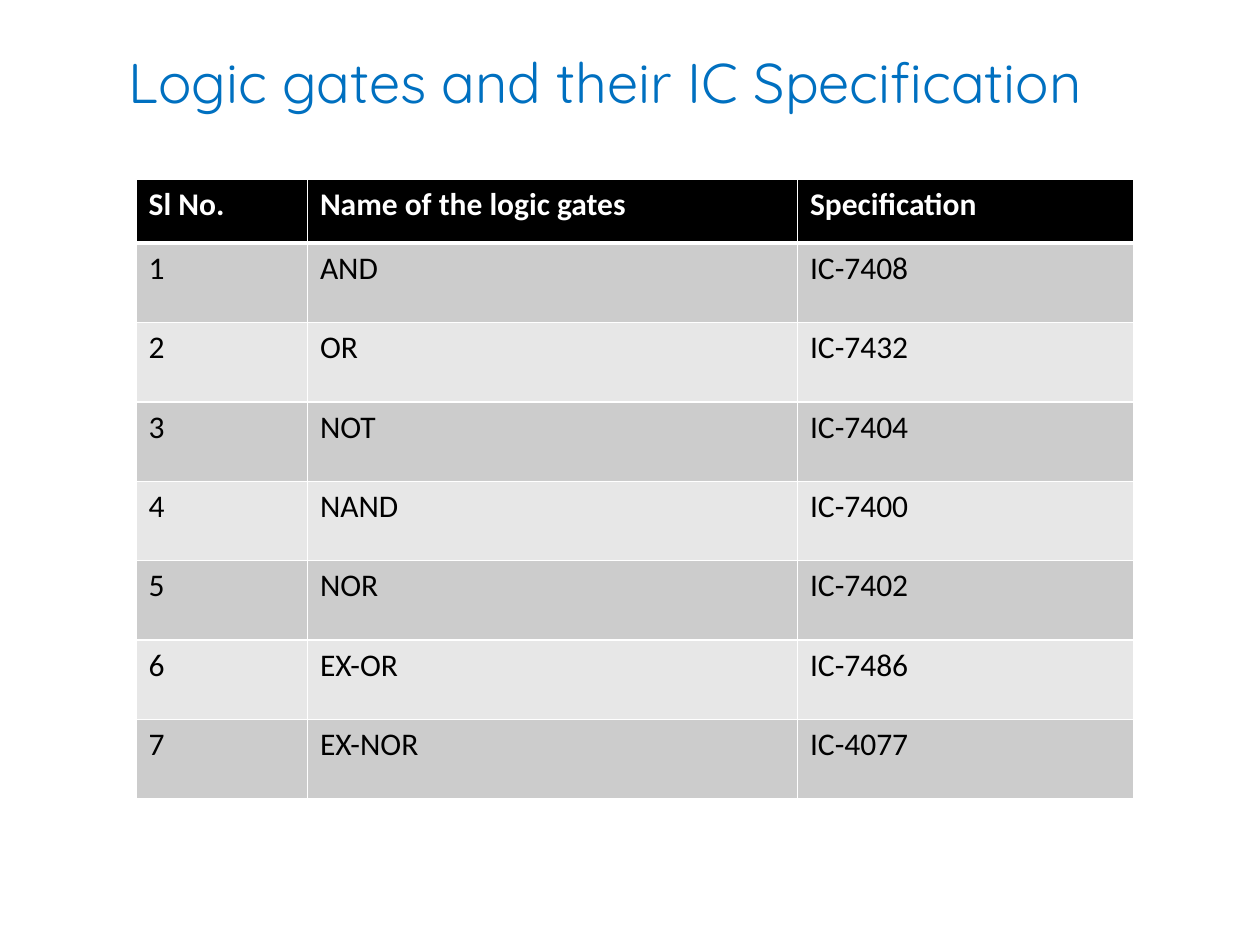
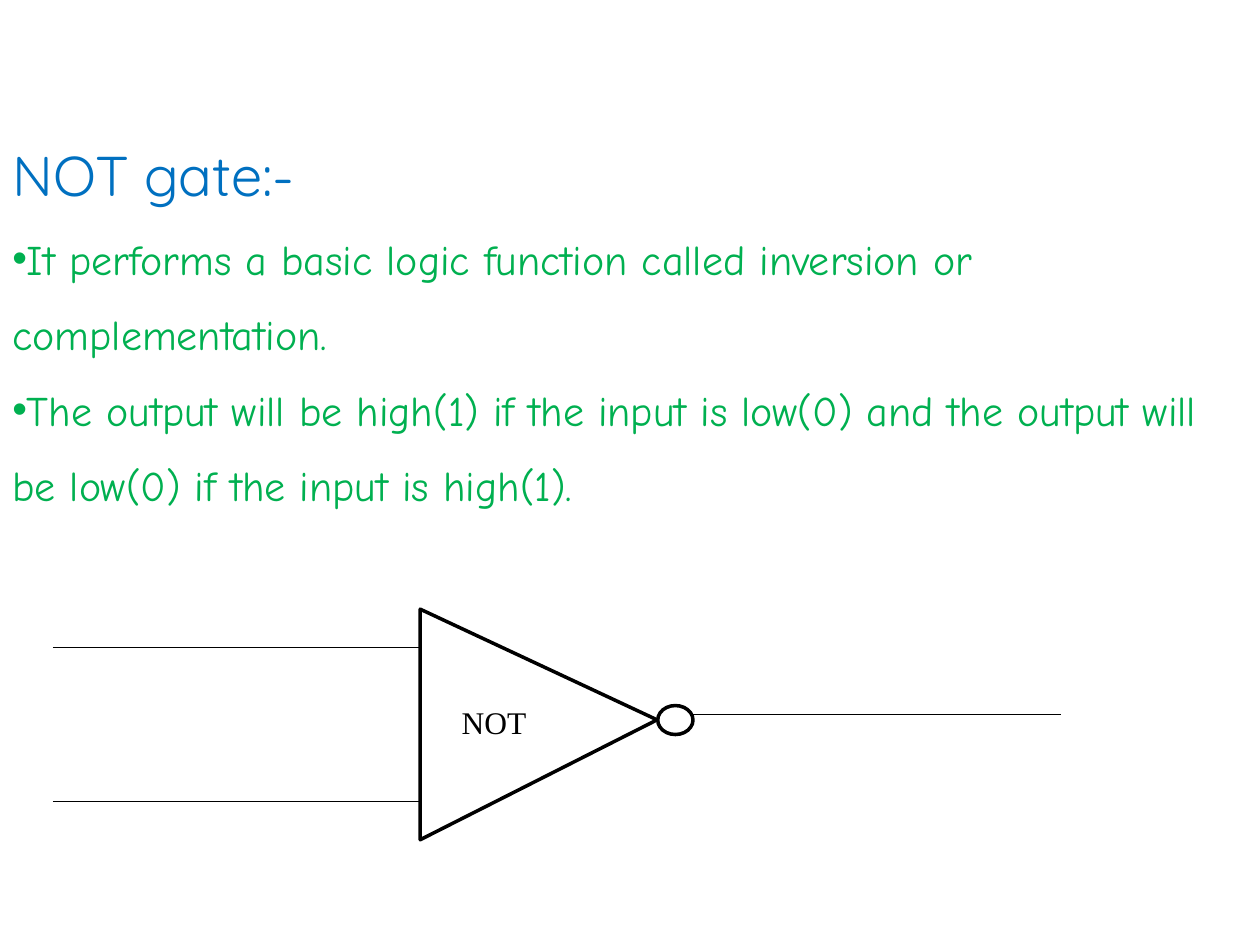
from pptx import Presentation
from pptx.dml.color import RGBColor
from pptx.enum.shapes import MSO_CONNECTOR, MSO_SHAPE
from pptx.enum.text import MSO_ANCHOR, MSO_AUTO_SIZE, PP_ALIGN
from pptx.oxml.ns import qn
from pptx.util import Inches, Pt
from lxml.etree import SubElement

COLORS = {
    "title": "0070C0",
    "body": "00B050",
    "ink": "000000",
    "white": "FFFFFF",
    "odd": "CCCCCC",
    "even": "E7E7E7",
}
TITLE = dict(size=32, font="Quicksand", color="title")
BODY = dict(size=24, font="Comic Neue", color="body", space=1.5, bullet="•")

GATES = [
    ("AND", "IC-7408"),
    ("OR", "IC-7432"),
    ("NOT", "IC-7404"),
    ("NAND", "IC-7400"),
    ("NOR", "IC-7402"),
    ("EX-OR", "IC-7486"),
    ("EX-NOR", "IC-4077"),
]
FACTS = [
    "It performs a basic logic function called inversion or complementation.",
    "The output will be high(1) if the input is low(0) and the output will "
    "be low(0) if the input is high(1).",
]


def rgb(name):
    return RGBColor.from_string(COLORS[name])


def write(frame, text, size=18, font="Calibri", color="ink", bold=False,
          align=PP_ALIGN.LEFT, space=None, bullet=None):
    """Fill the first paragraph if it is empty, else add one."""
    para = frame.paragraphs[0]
    if para.runs:
        para = frame.add_paragraph()
    para.alignment = align
    if space:
        para.line_spacing = space
    if bullet:
        props = para._p.get_or_add_pPr()
        SubElement(props, qn("a:buFont"), typeface="Arial")
        SubElement(props, qn("a:buChar"), char=bullet)
    run = para.add_run()
    run.text = text
    run.font.size = Pt(size)
    run.font.name = font
    run.font.bold = bold
    run.font.color.rgb = rgb(color)


def add_box(slide, left, top, width, height):
    box = slide.shapes.add_textbox(*map(Inches, (left, top, width, height)))
    frame = box.text_frame
    frame.word_wrap = True
    frame.auto_size = MSO_AUTO_SIZE.SHAPE_TO_FIT_TEXT
    return frame


def set_edges(cell, **widths):
    """Draw white cell borders; widths are points by side, in schema order."""
    props = cell._tc.get_or_add_tcPr()
    for spot, (side, width) in enumerate(widths.items()):
        edge = props.makeelement(qn(f"a:ln{side}"), {"w": str(Pt(width))})
        fill = SubElement(edge, qn("a:solidFill"))
        SubElement(fill, qn("a:srgbClr"), val=COLORS["white"])
        props.insert(spot, edge)


def add_grid(slide, left, top, cols, head, step):
    rows = [("Sl No.", "Name of the logic gates", "Specification")]
    rows += [(str(num), *gate) for num, gate in enumerate(GATES, 1)]
    high = head + step * len(GATES)
    table = slide.shapes.add_table(
        len(rows), len(cols), *map(Inches, (left, top, sum(cols), high))).table
    for col, width in zip(table.columns, cols):
        col.width = Inches(width)
    for r, row in enumerate(rows):
        table.rows[r].height = Inches(step if r else head)
        shade = ("odd" if r % 2 else "even") if r else "ink"
        for c, text in enumerate(row):
            cell = table.cell(r, c)
            cell.fill.solid()
            cell.fill.fore_color.rgb = rgb(shade)
            set_edges(cell, L=1, R=1, T=3 if r == 1 else 1, B=1 if r else 3)
            write(cell.text_frame, text, bold=r == 0,
                  color="ink" if r else "white")


def add_part(group, kind, left, top, width, height):
    part = group.shapes.add_shape(
        kind, *map(Inches, (left, top, width, height)))
    part.shadow.inherit = False
    part.fill.background()
    part.line.color.rgb = rgb("ink")
    part.line.width = Pt(2)
    return part


def add_wire(group, left, top, width):
    wire = group.shapes.add_connector(
        MSO_CONNECTOR.STRAIGHT,
        *map(Inches, (left, top, left + width, top)))
    wire.line.color.rgb = rgb("ink")
    wire.line.width = Pt(0.75)
    SubElement(wire._element.spPr, qn("a:effectLst"))


def add_gate(slide, left, top):
    """Draw the NOT symbol with its wires from the box's top left corner."""
    group = slide.shapes.add_group_shape()
    body = add_part(group, MSO_SHAPE.ISOSCELES_TRIANGLE,
                    left + 2.94, top, 1.83, 1.88)
    body.rotation = 90
    body.adjustments[0] = 0.48
    frame = body.text_frame
    frame.vertical_anchor = MSO_ANCHOR.MIDDLE
    frame._txBody.bodyPr.set("vert", "vert270")
    write(frame, "NOT", font="Times New Roman", align=PP_ALIGN.RIGHT)
    add_part(group, MSO_SHAPE.OVAL, left + 4.8, top + 0.79, 0.28, 0.23)
    for x, y in ((0, 0.33), (0, 1.55), (5.08, 0.86)):
        add_wire(group, left + x, top + y, 2.92)


def build_table(slide):
    add_grid(slide, 1.08, 1.42, cols=(1.36, 3.89, 2.67), head=0.51, step=0.63)
    write(add_box(slide, 0.92, 0.33, 8.33, 0.64),
          "Logic gates and their IC Specification", **TITLE)


def build_not(slide):
    frame = add_box(slide, 0, 0, 10, 5.05)
    write(frame, "NOT gate:-", space=3.0, **TITLE)
    for fact in FACTS:
        write(frame, fact, **BODY)
    add_gate(slide, 0.42, 4.81)


def main():
    deck = Presentation()
    deck.slide_width, deck.slide_height = Inches(10), Inches(7.5)
    for build in (build_table, build_not):
        build(deck.slides.add_slide(deck.slide_layouts[6]))
    deck.save("out.pptx")


if __name__ == "__main__":
    main()
